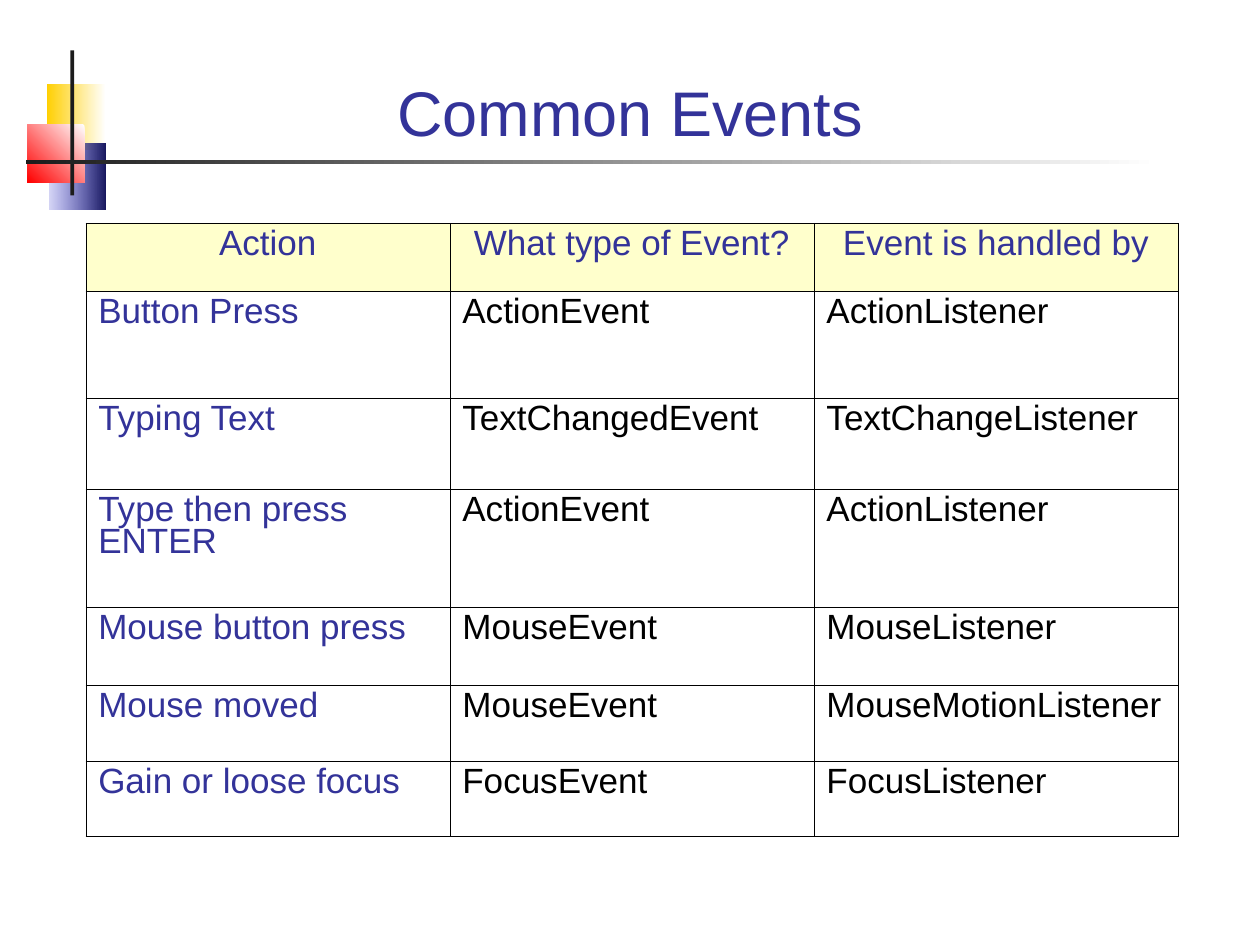
import pptx
import pptx.util
import pptx.dml.color
import pptx.enum.shapes
import pptx.enum.text
import pptx.oxml
import pptx.oxml.ns

Inches = pptx.util.Inches
Align = pptx.enum.text.PP_ALIGN
NAVY, BLACK, WHITE, CREAM, DARK = "333399", "000000", "FFFFFF", "FFFFCC", "1C1C1C"
THIN, OUTER = 0.06, 0.11

ROWS = [
    ("Action", "What type of Event?", "Event is handled by"),
    ("Button Press", "ActionEvent", "ActionListener"),
    ("Typing Text", "TextChangedEvent", "TextChangeListener"),
    ("Type then press ENTER", "ActionEvent", "ActionListener"),
    ("Mouse button press", "MouseEvent", "MouseListener"),
    ("Mouse moved", "MouseEvent", "MouseMotionListener"),
    ("Gain or loose focus", "FocusEvent", "FocusListener"),
]
HEIGHTS = [0.54, 0.85, 0.72, 0.94, 0.62, 0.6, 0.6]


def rgb(code):
    return pptx.dml.color.RGBColor.from_string(code)


def apply(item, form):
    for name, value in form.items():
        setattr(item, name, value)


def style(para, size, color, **form):
    apply(para, form)
    apply(para.font, {"name": "Arial", "size": pptx.util.Pt(size), "bold": False})
    para.font.color.rgb = rgb(color)


def block(slide, box, colors, angle=180, alpha=None):
    """Draw a plain rectangle, solid for one colour and graded for two."""
    shape = slide.shapes.add_shape(
        pptx.enum.shapes.MSO_SHAPE.RECTANGLE, *map(Inches, box))
    shape.shadow.inherit = False
    shape.line.fill.background()
    if len(colors) == 1:
        shape.fill.solid()
        shape.fill.fore_color.rgb = rgb(colors[0])
        return
    shape.fill.gradient()
    shape.fill.gradient_angle = angle
    for stop, color, place in zip(shape.fill.gradient_stops, colors, (0, 1)):
        stop.color.rgb = rgb(color)
        stop.position = place
    if alpha:
        last = shape.fill._xPr.findall(".//" + pptx.oxml.ns.qn("a:srgbClr"))[-1]
        last.append(pptx.oxml.parse_xml(
            f'<a:alpha {pptx.oxml.ns.nsdecls("a")} val="{alpha * 1000}"/>'))


def motif(slide, left, top):
    """Draw the coloured squares and the crossed bars."""
    block(slide, (left + 0.16, top + 0.27, 0.47, 0.52), (WHITE, "FFCF01"))
    block(slide, (left + 0.18, top + 0.74, 0.45, 0.52), ("17175E", "3333CC"), alpha=20)
    block(slide, (left + 0.01, top + 0.59, 0.45, 0.46), (WHITE, "FF0000"), angle=225)
    block(slide, (left + 0.35, top, 0.03, 1.15), (DARK,))
    block(slide, (left, top + 0.87, 8.99, 0.03), (WHITE, DARK))


def heading(slide, text, box):
    title = slide.shapes.title
    apply(title, dict(zip(("left", "top", "width", "height"), map(Inches, box))))
    apply(title.text_frame, {
        "text": text, "word_wrap": True,
        "auto_size": pptx.enum.text.MSO_AUTO_SIZE.NONE,
        "vertical_anchor": pptx.enum.text.MSO_ANCHOR.BOTTOM})
    style(title.text_frame.paragraphs[0], 36, NAVY, alignment=Align.CENTER)
    # Keep the title in front of the motif
    slide.shapes._spTree.append(title._element)


def border(cell, widths):
    props = cell._tc.get_or_add_tcPr()
    for spot, (side, width) in enumerate(widths.items()):
        props.insert(spot, pptx.oxml.parse_xml(
            f'<a:ln{side} {pptx.oxml.ns.nsdecls("a")} w="{pptx.util.Pt(width)}">'
            f'<a:solidFill><a:srgbClr val="{BLACK}"/></a:solidFill></a:ln{side}>'))


def events(slide, box):
    """Fill the event table; its outer frame is heavier than the inner lines."""
    count, wide = len(ROWS), len(ROWS[0])
    grid = slide.shapes.add_table(count, wide, *map(Inches, box)).table
    apply(grid, {"first_row": False, "horz_banding": False})
    for column in grid.columns:
        column.width = Inches(box[2] / wide)
    for r, (texts, height) in enumerate(zip(ROWS, HEIGHTS)):
        grid.rows[r].height = Inches(height)
        for c, text in enumerate(texts):
            cell, head = grid.cell(r, c), r == 0
            cell.text = text
            style(cell.text_frame.paragraphs[0], 20,
                  NAVY if head or c == 0 else BLACK, line_spacing=0.83,
                  alignment=Align.CENTER if head else Align.LEFT)
            if head:
                cell.fill.solid()
                cell.fill.fore_color.rgb = rgb(CREAM)
            else:
                cell.fill.background()
            edges = {"L": c == 0, "R": c == wide - 1, "T": head, "B": r == count - 1}
            border(cell, {side: OUTER if out else THIN for side, out in edges.items()})


def main():
    deck = pptx.Presentation()
    apply(deck, {"slide_width": Inches(10), "slide_height": Inches(7.5)})
    slide = deck.slides.add_slide(deck.slide_layouts[5])
    motif(slide, 0.21, 0.4)
    heading(slide, "Common Events", (0.67, 0.28, 8.66, 0.95))
    events(slide, (0.68, 1.77, 8.67, sum(HEIGHTS)))
    deck.save("out.pptx")


if __name__ == "__main__":
    main()
